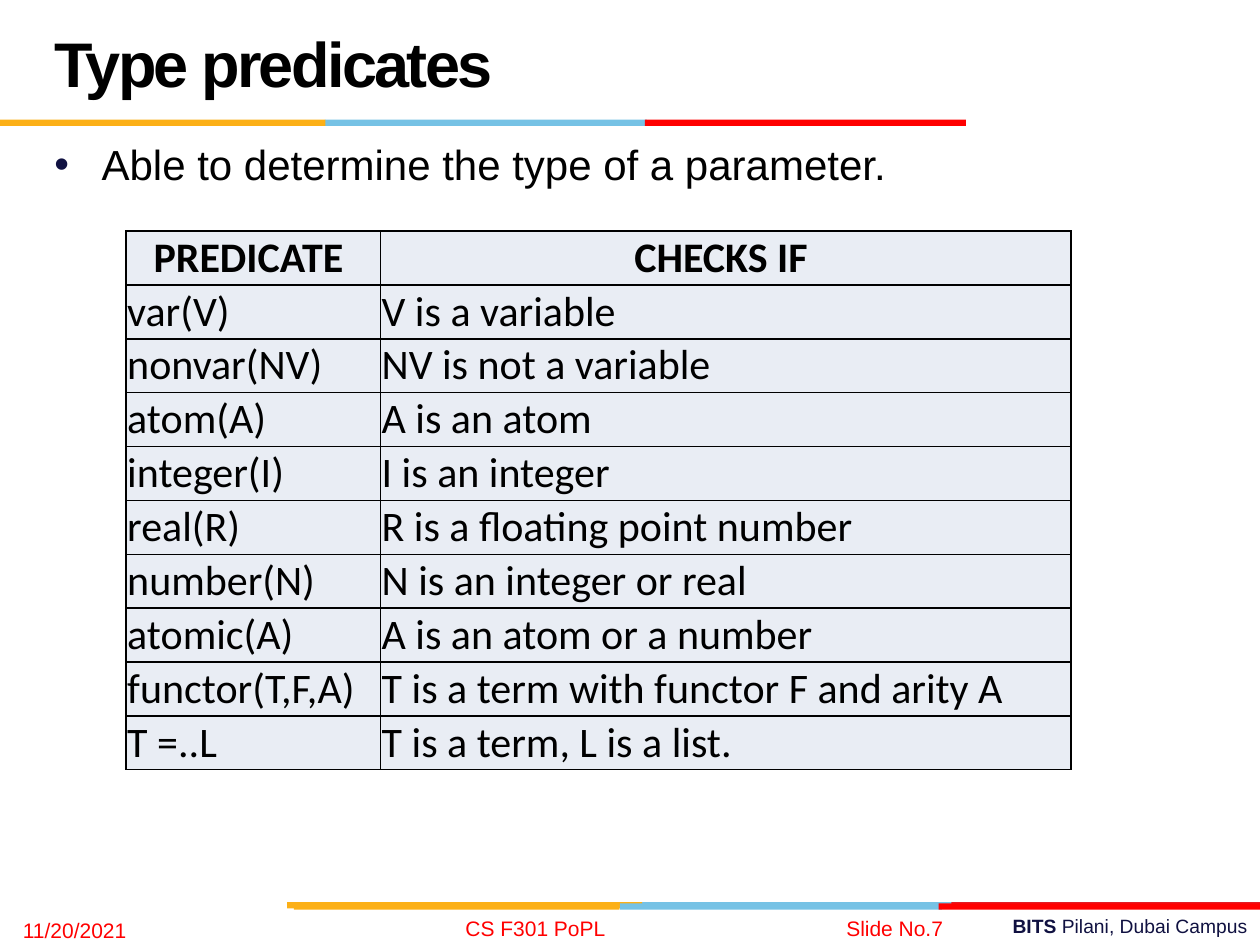
from dataclasses import dataclass

import pptx
import pptx.dml.color
import pptx.enum.shapes
import pptx.enum.text
import pptx.oxml
import pptx.oxml.ns
import pptx.util

Pt = pptx.util.Pt
ALIGN = pptx.enum.text.PP_ALIGN
ANCHOR = pptx.enum.text.MSO_ANCHOR


@dataclass(frozen=True)
class Theme:
    black: str = "000000"
    navy: str = "101141"
    red: str = "FF0000"
    dark_red: str = "E31C24"
    blue: str = "76C2E5"
    gold: str = "FCB017"
    cell: str = "E9EDF4"
    font: str = "Arial"
    table_font: str = "Calibri"
    title_size: int = 36
    body_size: int = 24
    footer_size: int = 12
    campus_size: int = 11


THEME = Theme()

# Colour bars: top, then (left, width, colour) of each part
BARS = [
    (515.5, [(364, 184, THEME.blue), (543.6, 176.4, THEME.dark_red), (164, 203, THEME.gold)]),
    (516.2, [(354.2, 184, THEME.blue), (168, 186, THEME.gold), (536.4, 183.6, THEME.red)]),
    (68.4, [(185.6, 184, THEME.blue), (0, 186, THEME.gold), (368.6, 183.4, THEME.red)]),
]
BAR_HEIGHT = 3.6

FOOTERS = [
    ("11/20/2021", (6, 517, 168, 28.8), ALIGN.LEFT),
    ("Slide No.7", (378, 516, 168, 28.8), ALIGN.RIGHT),
    ("CS F301 PoPL", (192, 516, 228, 28.8), ALIGN.CENTER),
]

COLUMN_WIDTHS = (145.4, 394.6)
ROW_HEIGHT = 30.8
ROWS = [
    ("PREDICATE ", "CHECKS IF "),
    ("var(V)", "V is a variable"),
    ("nonvar(NV)", "NV is not a variable"),
    ("atom(A)", "A is an atom"),
    ("integer(I)", "I is an integer"),
    ("real(R)", "R is a floating point number"),
    ("number(N)", "N is an integer or real"),
    ("atomic(A)", "A is an atom or a number"),
    ("functor(T,F,A)", "T is a term with functor F and arity A"),
    ("T =..L", "T is a term, L is a list."),
]


def rgb(value):
    return pptx.dml.color.RGBColor.from_string(value)


def add_text(paragraph, text, *, size, color=THEME.black, font=THEME.font,
             bold=False, align=ALIGN.LEFT, spacing=None):
    """Add one formatted run; spacing is the letter spacing in points."""
    paragraph.alignment = align
    run = paragraph.add_run()
    run.text = text
    run.font.name = font
    run.font.size = Pt(size)
    run.font.bold = bold
    run.font.color.rgb = rgb(color)
    if spacing is not None:
        run._r.get_or_add_rPr().set("spc", str(int(spacing * 100)))


def add_box(slide, bounds, anchor=ANCHOR.TOP):
    """Add a wrapping text box and return its first paragraph."""
    shape = slide.shapes.add_textbox(*map(Pt, bounds))
    shape.text_frame.word_wrap = True
    shape.text_frame.vertical_anchor = anchor
    return shape.text_frame.paragraphs[0]


def add_bar(slide, left, top, width, color):
    shape = slide.shapes.add_shape(pptx.enum.shapes.MSO_SHAPE.RECTANGLE,
                                   Pt(left), Pt(top), Pt(width), Pt(BAR_HEIGHT))
    shape.shadow.inherit = False
    shape.fill.solid()
    shape.fill.fore_color.rgb = rgb(color)
    shape.line.fill.background()


def set_bullet(paragraph, indent):
    properties = paragraph._p.get_or_add_pPr()
    properties.set("marL", str(Pt(indent)))
    properties.set("indent", str(-Pt(indent)))
    namespace = pptx.oxml.ns.nsdecls("a")
    for xml in (f'<a:buClr {namespace}><a:srgbClr val="{THEME.navy}"/></a:buClr>',
                f'<a:buFont {namespace} typeface="{THEME.font}"/>',
                f'<a:buChar {namespace} char="•"/>'):
        properties.append(pptx.oxml.parse_xml(xml))


def set_borders(cell):
    properties = cell._tc.get_or_add_tcPr()
    namespace = pptx.oxml.ns.nsdecls("a")
    for index, side in enumerate(("lnL", "lnR", "lnT", "lnB")):
        properties.insert(index, pptx.oxml.parse_xml(
            f'<a:{side} {namespace} w="{Pt(1)}"><a:solidFill>'
            f'<a:srgbClr val="{THEME.black}"/></a:solidFill></a:{side}>'))


def add_title(slide, text):
    title = slide.shapes.title
    title.left, title.top, title.width, title.height = map(Pt, (24, 12, 498, 54.7))
    title.text_frame.vertical_anchor = ANCHOR.MIDDLE
    paragraph = title.text_frame.paragraphs[0]
    paragraph.line_spacing = Pt(36)
    add_text(paragraph, text, size=THEME.title_size, bold=True, spacing=-1.5)


def add_predicate_table(slide):
    frame = slide.shapes.add_table(len(ROWS), len(COLUMN_WIDTHS), Pt(72), Pt(132),
                                   Pt(sum(COLUMN_WIDTHS)), Pt(ROW_HEIGHT * len(ROWS)))
    table = frame.table
    for column, width in zip(table.columns, COLUMN_WIDTHS):
        column.width = Pt(width)
    for row_index, texts in enumerate(ROWS):
        table.rows[row_index].height = Pt(ROW_HEIGHT)
        header = row_index == 0
        for column_index, text in enumerate(texts):
            cell = table.cell(row_index, column_index)
            cell.margin_left = cell.margin_right = Pt(0.72)
            cell.margin_top = cell.margin_bottom = Pt(0.72)
            cell.vertical_anchor = ANCHOR.MIDDLE
            cell.fill.solid()
            cell.fill.fore_color.rgb = rgb(THEME.cell)
            set_borders(cell)
            add_text(cell.text_frame.paragraphs[0], text, size=THEME.body_size,
                     font=THEME.table_font, bold=header,
                     align=ALIGN.CENTER if header else ALIGN.LEFT)


def main():
    presentation = pptx.Presentation()
    presentation.slide_width, presentation.slide_height = Pt(720), Pt(540)
    slide = presentation.slides.add_slide(presentation.slide_layouts[5])

    # Campus name and colour bars
    campus = add_box(slide, (257.8, 519, 462.2, 20.9))
    for text, bold in (("BITS ", True), ("Pilani, Dubai Campus", False)):
        add_text(campus, text, size=THEME.campus_size, color=THEME.navy,
                 bold=bold, align=ALIGN.RIGHT)
    for top, parts in BARS:
        for left, width, color in parts:
            add_bar(slide, left, top, width, color)

    # Title and bullet
    add_title(slide, "Type predicates")
    body = add_box(slide, (24, 75.6, 648, 434.8))
    set_bullet(body, 27)
    add_text(body, "Able to determine the type of a parameter.", size=THEME.body_size)

    # Footer
    for text, bounds, align in FOOTERS:
        add_text(add_box(slide, bounds, ANCHOR.MIDDLE), text,
                 size=THEME.footer_size, color=THEME.red, align=align)

    # Table
    add_predicate_table(slide)
    presentation.save("out.pptx")


if __name__ == "__main__":
    main()
